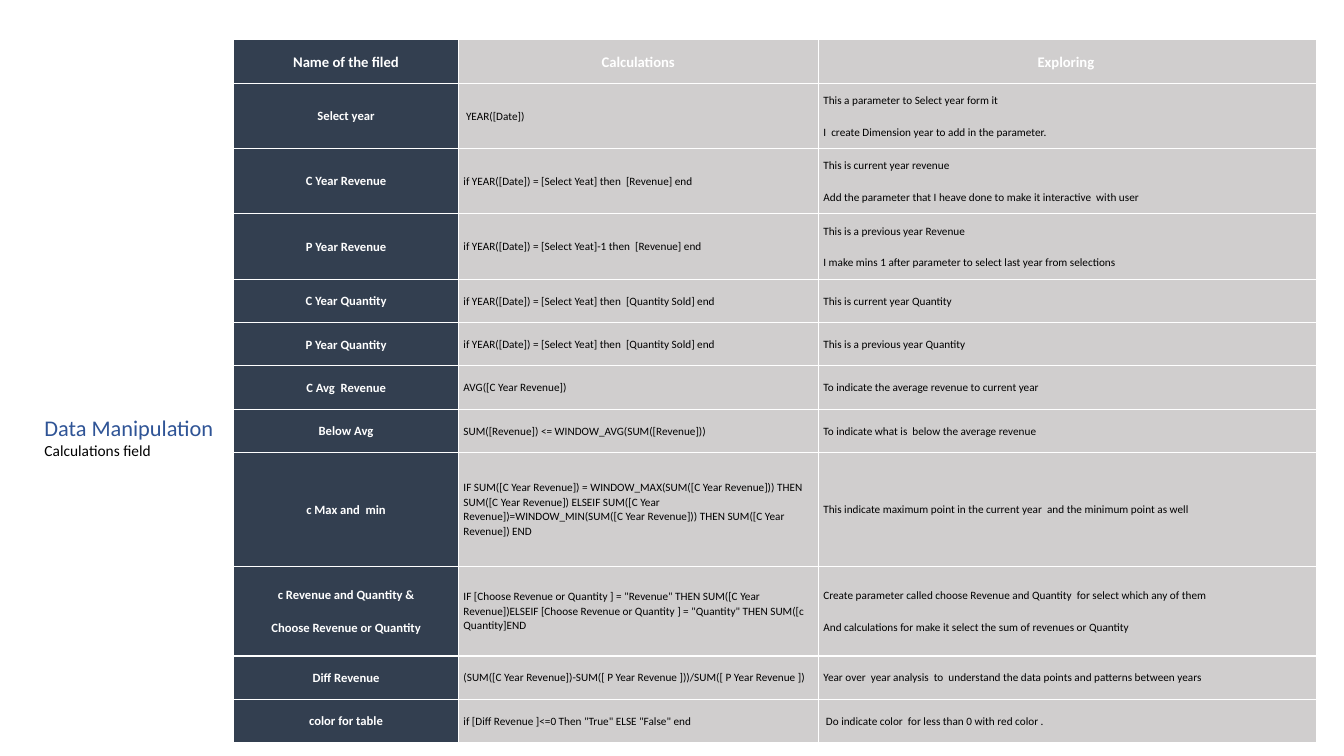
from dataclasses import dataclass

from pptx import Presentation
from pptx.dml.color import RGBColor
from pptx.enum.text import MSO_ANCHOR, MSO_AUTO_SIZE, PP_ALIGN
from pptx.util import Cm, Pt

MIDDLE = MSO_ANCHOR.MIDDLE
FIXED = MSO_AUTO_SIZE.NONE
LEFT, CENTER = PP_ALIGN.LEFT, PP_ALIGN.CENTER
TITLE_ONLY = 5


@dataclass(frozen=True)
class Theme:
    font: str = "Calibri"
    navy: str = "333F50"
    gray: str = "D0CECE"
    blue: str = "2F5496"
    white: str = "FFFFFF"
    black: str = "000000"
    title: float = 16
    sub: float = 11
    head: float = 10.5
    name: float = 9
    body: float = 8


THEME = Theme()

COLS = [5.66, 9.07, 12.57]
HEAD = ["Name of the filed", "Calculations", "Exploring "]
HEAD_H = 1.12
LOW = 1.09

# Row height in cm, then field name, formula and remark
FIELDS = [
    (1.63, "Select year", " YEAR([Date])",
     "This a parameter to Select year form it\n"
     "I  create Dimension year to add in the parameter."),
    (1.65, "C Year Revenue",
     "if YEAR([Date]) = [Select Yeat] then  [Revenue] end",
     "This is current year revenue\n"
     "Add the parameter that I heave done to make it interactive  with user"),
    (1.65, "P Year Revenue",
     "if YEAR([Date]) = [Select Yeat]-1 then  [Revenue] end",
     "This is a previous year Revenue\n"
     "I make mins 1 after parameter to select last year from selections"),
    (LOW, "C Year Quantity",
     "if YEAR([Date]) = [Select Yeat] then  [Quantity Sold] end",
     "This is current year Quantity"),
    (LOW, "P Year Quantity",
     "if YEAR([Date]) = [Select Yeat] then  [Quantity Sold] end",
     "This is a previous year Quantity"),
    (LOW, "C Avg  Revenue", "AVG([C Year Revenue])",
     "To indicate the average revenue to current year"),
    (LOW, "Below Avg", "SUM([Revenue]) <= WINDOW_AVG(SUM([Revenue]))",
     "To indicate what is  below the average revenue"),
    (2.87, "c Max and  min",
     "IF SUM([C Year Revenue]) = WINDOW_MAX(SUM([C Year Revenue])) THEN  "
     "SUM([C Year Revenue]) ELSEIF SUM([C Year Revenue])="
     "WINDOW_MIN(SUM([C Year Revenue])) THEN SUM([C Year Revenue]) END",
     "This indicate maximum point in the current year  and the minimum point "
     "as well"),
    (2.26, "c Revenue and Quantity &\nChoose Revenue or Quantity",
     'IF [Choose Revenue or Quantity ] = "Revenue" THEN SUM([C Year Revenue])'
     'ELSEIF [Choose Revenue or Quantity ] = "Quantity" THEN '
     'SUM([c  Quantity]END',
     "Create parameter called choose Revenue and Quantity  for select which "
     "any of them\n"
     "And calculations for make it select the sum of revenues or Quantity"),
    (LOW, "Diff Revenue",
     "(SUM([C Year Revenue])-SUM([ P Year Revenue ]))/SUM([ P Year Revenue ])",
     "Year over  year analysis  to  understand the data points and patterns "
     "between years"),
    (LOW, "color for table",
     'if [Diff Revenue ]<=0 Then "True" ELSE "False" end',
     " Do indicate color  for less than 0 with red color ."),
]


def apply(item, **values):
    for name, value in values.items():
        setattr(item, name, value)


def style(para, size, color, bold=False, **layout):
    apply(para, **layout)
    apply(para.font, name=THEME.font, size=Pt(size), bold=bold)
    para.font.color.rgb = RGBColor.from_string(color)


def fill_cell(cell, text, back, size, color, bold, align, gap):
    apply(cell, text=text, vertical_anchor=MIDDLE,
          margin_left=Cm(0.13), margin_right=Cm(0.13),
          margin_top=0, margin_bottom=0)
    cell.fill.solid()
    cell.fill.fore_color.rgb = RGBColor.from_string(back)
    for para in cell.text_frame.paragraphs:
        style(para, size, color, bold, alignment=align,
              line_spacing=1.06, space_before=Pt(gap))


def cell_look(row, col):
    """Return the format of a cell, led by its header row and name column."""
    look = {"back": THEME.gray if col else THEME.navy,
            "size": THEME.name, "color": THEME.white,
            "bold": True, "align": CENTER, "gap": 12}
    if row == 0:
        look.update(size=THEME.head, gap=0)
    elif col:
        look.update(size=THEME.body, color=THEME.black,
                    bold=False, align=LEFT)
    return look


def add_fields(slide):
    rows = [(HEAD_H, *HEAD), *FIELDS]
    table = slide.shapes.add_table(
        len(rows), len(COLS), Cm(5.89), Cm(0.99),
        Cm(sum(COLS)), Cm(sum(row[0] for row in rows))).table
    table.horz_banding = False
    for col, width in zip(table.columns, COLS):
        col.width = Cm(width)
    for r, (height, *texts) in enumerate(rows):
        table.rows[r].height = Cm(height)
        for c, text in enumerate(texts):
            fill_cell(table.cell(r, c), text, **cell_look(r, c))


def set_title(slide):
    title = slide.shapes.title
    apply(title, left=Cm(1.12), top=Cm(10.4), width=Cm(4.6), height=Cm(1.2))
    frame = title.text_frame
    apply(frame, text="Data Manipulation\nCalculations field",
          word_wrap=False, auto_size=FIXED, vertical_anchor=MIDDLE,
          margin_left=0, margin_right=0, margin_top=0, margin_bottom=0)
    head, sub = frame.paragraphs
    style(head, THEME.title, THEME.blue, alignment=LEFT)
    style(sub, THEME.sub, THEME.black, alignment=LEFT)


def main():
    deck = Presentation()
    apply(deck, slide_width=Cm(33.87), slide_height=Cm(19.05))
    slide = deck.slides.add_slide(deck.slide_layouts[TITLE_ONLY])
    set_title(slide)
    add_fields(slide)
    deck.save("out.pptx")


if __name__ == "__main__":
    main()
